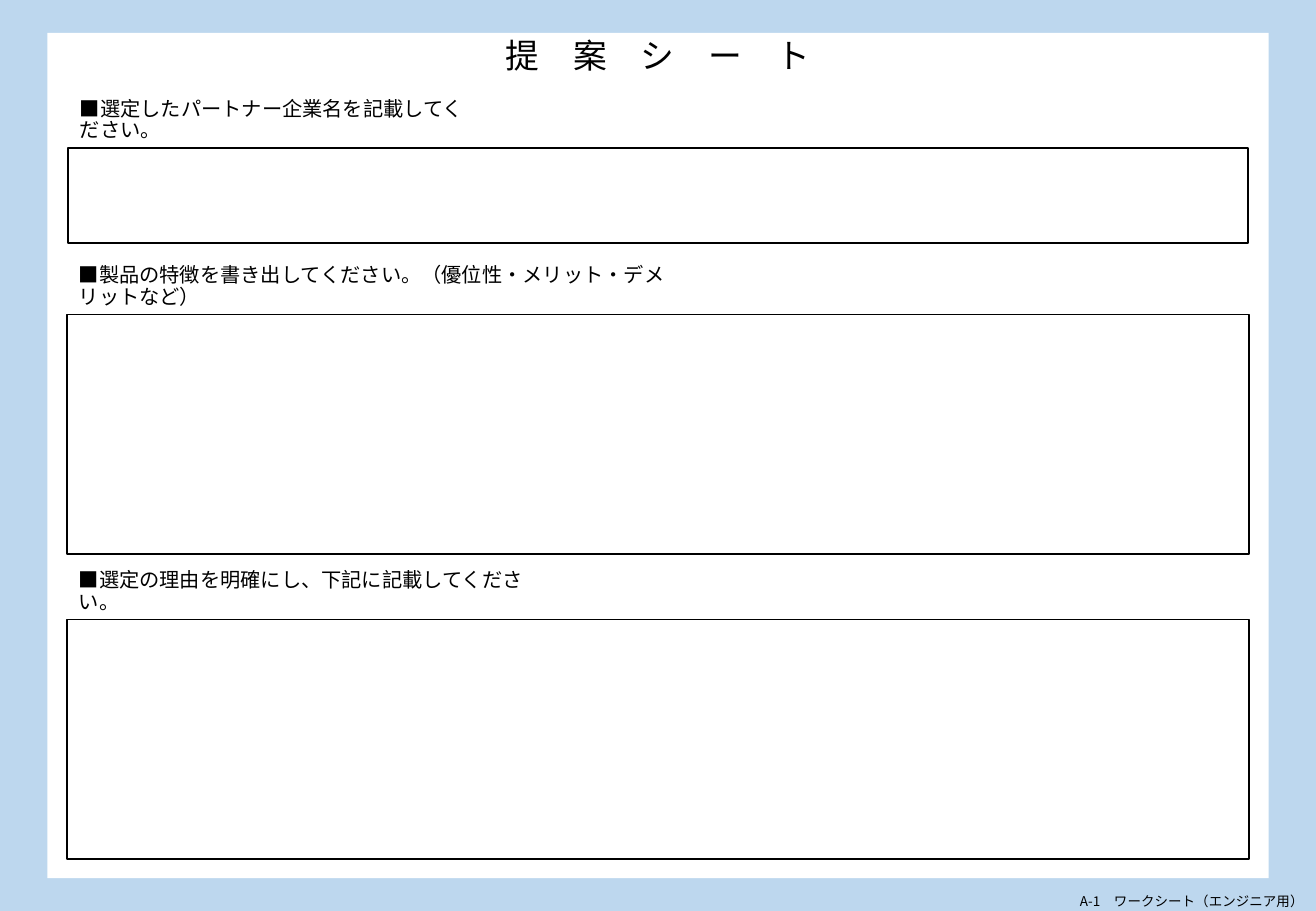
from pptx import Presentation
from pptx.dml.color import RGBColor
from pptx.enum.shapes import MSO_SHAPE
from pptx.enum.text import MSO_ANCHOR, PP_ALIGN
from pptx.util import Inches, Pt
from lxml.etree import SubElement
from pptx.oxml.ns import qn

COLORS = {"back": "BDD7EE", "paper": "FFFFFF", "ink": "000000"}
FONT = "Noto Sans CJK JP"


def add_box(shapes, x, y, w, h, border=False):
    sp = shapes.add_shape(MSO_SHAPE.RECTANGLE, Inches(x), Inches(y), Inches(w), Inches(h))
    sp.shadow.inherit = False
    sp.fill.solid()
    sp.fill.fore_color.rgb = RGBColor.from_string(COLORS["paper"])
    if border:
        sp.line.color.rgb = RGBColor.from_string(COLORS["ink"])
        sp.line.width = Pt(1)
    else:
        sp.line.fill.background()


def add_text(shapes, text, x, y, w, h, size, align=PP_ALIGN.LEFT,
             anchor=MSO_ANCHOR.BOTTOM, wrap=True, spacing=0.9):
    sp = shapes.add_textbox(Inches(x), Inches(y), Inches(w), Inches(h))
    tf = sp.text_frame
    tf.text = text
    tf.word_wrap = wrap
    tf.vertical_anchor = anchor
    p = tf.paragraphs[0]
    p.alignment = align
    p.line_spacing = spacing
    r = p.runs[0]
    r.font.size = Pt(size)
    r.font.name = FONT
    r.font.color.rgb = RGBColor.from_string(COLORS["ink"])
    SubElement(r.font._element, qn("a:ea")).set("typeface", FONT)
    return sp


prs = Presentation()
prs.slide_width, prs.slide_height = Inches(10.83), Inches(7.5)
s = prs.slides.add_slide(prs.slide_layouts[6])
s.background.fill.solid()
s.background.fill.fore_color.rgb = RGBColor.from_string(COLORS["back"])

# Paper and footer
add_box(s.shapes, 0.39, 0.27, 10.05, 6.96)
footer = add_text(s.shapes, "A-1　ワークシート（エンジニア用）", 8.73, 7.34, 2.1, 0.16, 8,
                  PP_ALIGN.RIGHT, MSO_ANCHOR.MIDDLE, wrap=False, spacing=1.0)
footer.text_frame.margin_top = footer.text_frame.margin_bottom = 0

# Sections: question, its width and height, then left, top, width, height of the answer box
sections = [
    ("■選定したパートナー企業名を記載してください。", 3.45, 0.29, 0.56, 1.22, 9.71, 0.78),
    ("■製品の特徴を書き出してください。（優位性・メリット・デメリットなど）",
     5.08, 0.34, 0.55, 2.59, 9.73, 1.97),
    ("■選定の理由を明確にし、下記に記載してください。", 3.89, 0.29, 0.55, 5.1, 9.73, 1.97),
]
for question, text_w, text_h, x, y, w, h in sections:
    group = s.shapes.add_group_shape()
    add_box(group.shapes, x, y, w, h, border=True)
    add_text(group.shapes, question, x, y - text_h, text_w, text_h, 12)

# Title
title = add_text(s.shapes, "提　案　シ　ー　ト", 3.75, 0.29, 3.33, 0.38, 20, PP_ALIGN.CENTER)
title.fill.solid()
title.fill.fore_color.rgb = RGBColor.from_string(COLORS["paper"])

prs.save("out.pptx")
